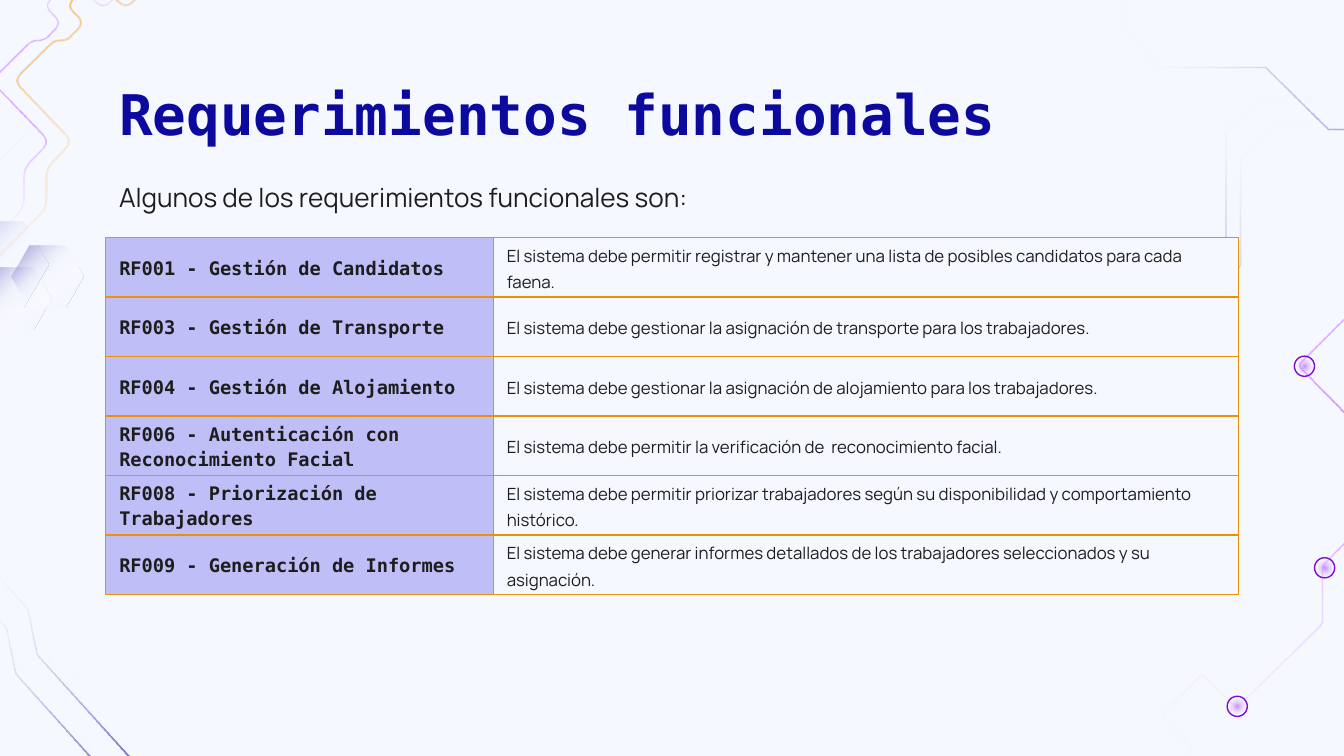
import math
from dataclasses import dataclass

import pptx
import pptx.dml.color
import pptx.enum.shapes
import pptx.enum.text
import pptx.oxml
import pptx.oxml.ns
import pptx.util
from lxml import etree

Pt = pptx.util.Pt
RGB = pptx.dml.color.RGBColor.from_string
MIDDLE = pptx.enum.text.MSO_ANCHOR.MIDDLE
TOP = pptx.enum.text.MSO_ANCHOR.TOP
OVAL = pptx.enum.shapes.MSO_SHAPE.OVAL
NS = 'xmlns:a="http://schemas.openxmlformats.org/drawingml/2006/main"'


@dataclass(frozen=True)
class Theme:
    paper: str = "F5F8FF"
    ink: str = "1D1D1D"
    navy: str = "0C0A9E"
    lilac: str = "BFBEF7"
    orange: str = "EB9109"
    ring: str = "8208D5"
    mono: str = "DejaVu Sans Mono"
    sans: str = "Manrope"
    title: int = 30
    lead: int = 14
    code: int = 10
    detail: int = 9
    trace: float = 0.95
    # Gradient stops: position, colour, opacity (all but colour in percent)
    navy_fade: tuple = ((0, "0C0A9E", 100), (100, "FFFFFF", 0))
    pale_fade: tuple = ((0, "0C0A9E", 36), (100, "FFFFFF", 0))
    violet_fade: tuple = ((0, "9900FF", 45), (100, "FFFFFF", 0))
    orange_fade: tuple = ((0, "EB9109", 100), (40, "FF9900", 40), (100, "FFFFFF", 0))
    prism_fade: tuple = ((0, "F5F8FF", 100), (22, "F5F8FF", 100),
                         (45, "FFFFFF", 0), (100, "0C0A9E", 49))


THEME = Theme()

REQUIREMENTS = [
    ("RF001 - Gestión de Candidatos",
     "El sistema debe permitir registrar y mantener una lista de posibles candidatos para cada faena."),
    ("RF003 - Gestión de Transporte",
     "El sistema debe gestionar la asignación de transporte para los trabajadores."),
    ("RF004 - Gestión de Alojamiento",
     "El sistema debe gestionar la asignación de alojamiento para los trabajadores."),
    ("RF006 - Autenticación con Reconocimiento Facial",
     "El sistema debe permitir la verificación de  reconocimiento facial."),
    ("RF008 - Priorización de Trabajadores",
     "El sistema debe permitir priorizar trabajadores según su disponibilidad y comportamiento histórico."),
    ("RF009 - Generación de Informes",
     "El sistema debe generar informes detallados de los trabajadores seleccionados y su asignación."),
]


# Geometry
def shift(points, dx, dy):
    return [(x + dx, y + dy) for x, y in points]


def rounded(points, radius):
    """Replace each inner corner by a short curve."""
    result = [points[0]]
    for before, corner, after in zip(points, points[1:], points[2:]):
        cut = min(radius, math.dist(before, corner) * 0.45, math.dist(corner, after) * 0.45)
        start, end = ([c + (p - c) * cut / math.dist(corner, side)
                       for c, p in zip(corner, side)] for side in (before, after))
        for t in (0, 0.25, 0.5, 0.75, 1):
            result.append(tuple((1 - t) ** 2 * s + 2 * t * (1 - t) * c + t * t * e
                                for s, c, e in zip(start, corner, end)))
    return result + [points[-1]]


def ribbon(points, width):
    """Outline of a thin band that follows the points."""
    normals = [((y1 - y2) / math.dist((x1, y1), (x2, y2)),
                (x2 - x1) / math.dist((x1, y1), (x2, y2)))
               for (x1, y1), (x2, y2) in zip(points, points[1:])]
    left, right = [], []
    for (x, y), (ax, ay), (bx, by) in zip(points, normals[:1] + normals, normals + normals[-1:]):
        reach = width / 2 / (1 + ax * bx + ay * by)
        dx, dy = (ax + bx) * reach, (ay + by) * reach
        left.append((x + dx, y + dy))
        right.append((x - dx, y - dy))
    return left + right[::-1]


# Drawing helpers
def fade(shape, stops, angle=None):
    """Fill with a linear gradient, or a radial one when no angle is given."""
    shape.shadow.inherit = False
    shape.fill.background()
    marks = "".join(f'<a:gs pos="{pos * 1000}"><a:srgbClr val="{colour}">'
                    f'<a:alpha val="{alpha * 1000}"/></a:srgbClr></a:gs>'
                    for pos, colour, alpha in stops)
    if angle is None:
        course = ('<a:path path="circle"><a:fillToRect l="50000" t="50000" '
                  'r="50000" b="50000"/></a:path>')
    else:
        course = f'<a:lin ang="{round(angle * 60000)}" scaled="0"/>'
    gradient = pptx.oxml.parse_xml(f"<a:gradFill {NS}><a:gsLst>{marks}</a:gsLst>{course}</a:gradFill>")
    properties = shape.element.spPr
    properties.replace(properties.find(pptx.oxml.ns.qn("a:noFill")), gradient)
    shape.line.fill.background()


def polygon(slide, points, stops, angle=None):
    start, *rest = [(x * 100, y * 100) for x, y in points]
    builder = slide.shapes.build_freeform(*start, scale=Pt(1) / 100)
    builder.add_line_segments(rest, close=True)
    fade(builder.convert_to_shape(), stops, angle)


def trace(slide, points, stops, angle=None):
    polygon(slide, ribbon(points, THEME.trace), stops, angle)


def write(frame, text, font, color, **format_values):
    paragraph = frame.paragraphs[0]
    run = paragraph.add_run()
    run.text = text
    for key, value in {"name": font, **format_values}.items():
        setattr(run.font, key, value)
    run.font.color.rgb = RGB(color)
    return paragraph


# Regions
def navy_circuits(slide, x, y):
    course = [(0.5, 223), (29.5, 194), (29.5, 117.5), (62.5, 84),
              (62.5, 28), (80.5, 10), (111, 10), (111, 0)]
    for dx, dy in ((7.9, 15.8), (0, 0)):
        trace(slide, shift(course, x + dx, y + dy), THEME.navy_fade, 270)
    turned = [(b, 56 - a) for a, b in course]
    trace(slide, shift(turned, x, y), THEME.navy_fade, 180)


def violet_circuit(slide, x, y):
    course = [(247.7, 0), (203, 45.4), (227, 70), (149, 148), (124, 124), (74, 174),
              (133, 234), (87, 281), (87, 312), (41, 357), (22.5, 339), (1, 361),
              (18, 380), (9, 390), (18, 399), (15, 402)]
    trace(slide, shift(rounded(course, 2), x, y), THEME.violet_fade)
    for cx, cy in ((41.4, 356.8), (88.2, 282.6), (77.4, 174.6)):
        ring, core = (slide.shapes.add_shape(OVAL, Pt(x + cx - size / 2), Pt(y + cy - size / 2),
                                             Pt(size), Pt(size)) for size in (10.8, 7.9))
        ring.shadow.inherit = False
        ring.fill.background()
        ring.line.color.rgb = RGB(THEME.ring)
        ring.line.width = Pt(0.75)
        fade(core, THEME.violet_fade)


def corner_circuits(slide, x, y):
    course = [(96.8, 152.6), (90.4, 118.8), (31.3, 53.3), (26.3, 28.8), (0.4, 0)]
    for dx, dy in ((11.5, 0), (0, 10.2)):
        trace(slide, shift(course, x + dx, y + dy), THEME.navy_fade, 227.8)


def left_ornament(slide, x, y):
    # Prisms
    for left, top, width, height in ((-27.4, 118.8, 53.3, 46.1), (-10.8, 143.3, 38.2, 33.1),
                                     (6.5, 131.8, 38.2, 33.1)):
        hexagon = [(0.25, 1), (0, 0.5), (0.25, 0), (0.75, 0), (1, 0.5), (0.75, 1)]
        corners = [(left + a * width, top + b * height) for a, b in hexagon]
        polygon(slide, shift(corners, x, y), THEME.prism_fade, 225)
    # Winding traces
    course = rounded([(41.4, -45), (79, -7.2), (67, 4.6), (50, -11), (35.5, 3), (45, 12),
                      (35.5, 21.6), (29, 21.6), (7.5, 43), (38.5, 75.6), (24.8, 90),
                      (24.8, 111), (0, 136.5)], 5)
    trace(slide, shift(course, x, y), THEME.orange_fade, 45)
    trace(slide, shift(course, x - 12.3, y), THEME.violet_fade)
    hook = [(14, 71), (-7.2, 92.2), (-7.2, 51), (-23.4, 51), (-23.4, 13.7)]
    trace(slide, shift(hook, x, y), THEME.pale_fade, 45)


def heading(slide, x, y, width):
    lines = [
        (0, 45.4, "Requerimientos funcionales", THEME.mono, THEME.navy, THEME.title, True),
        (54.7, 32.4, "Algunos de los requerimientos funcionales son:",
         THEME.sans, THEME.ink, THEME.lead, False),
    ]
    for dy, height, text, font, color, size, bold in lines:
        frame = slide.shapes.add_textbox(Pt(x), Pt(y + dy), Pt(width), Pt(height)).text_frame
        for key, value in {"word_wrap": True, "vertical_anchor": TOP, "margin_left": Pt(7.2),
                           "margin_right": Pt(7.2), "margin_top": Pt(7.2),
                           "margin_bottom": Pt(7.2)}.items():
            setattr(frame, key, value)
        write(frame, text, font, color, size=Pt(size), bold=bold)


def style_cell(cell, fill):
    for key, value in {"vertical_anchor": MIDDLE, "margin_left": Pt(7.2),
                       "margin_right": Pt(7.2), "margin_top": 0, "margin_bottom": 0}.items():
        setattr(cell, key, value)
    properties = cell._tc.get_or_add_tcPr()
    for side in "LRTB":
        properties.append(etree.fromstring(
            f'<a:ln{side} {NS} w="{Pt(0.75)}"><a:solidFill><a:srgbClr val="{THEME.orange}"/>'
            f'</a:solidFill></a:ln{side}>'))
    cell.fill.solid()
    cell.fill.fore_color.rgb = RGB(fill)


def requirements_table(slide, x, y, widths, row_height):
    count = len(REQUIREMENTS)
    table = slide.shapes.add_table(count, 2, Pt(x), Pt(y), Pt(sum(widths)),
                                   Pt(count * row_height)).table
    table.first_row = table.horz_banding = False
    for column, width in zip(table.columns, widths):
        column.width = Pt(width)
    styles = [(THEME.lilac, THEME.mono, THEME.code, True),
              (THEME.paper, THEME.sans, THEME.detail, False)]
    for row, texts in zip(table.rows, REQUIREMENTS):
        row.height = Pt(row_height)
        for cell, text, (fill, font, size, bold) in zip(row.cells, texts, styles):
            style_cell(cell, fill)
            paragraph = write(cell.text_frame, text, font, THEME.ink, size=Pt(size), bold=bold)
            paragraph.line_spacing = 1.15


def main():
    deck = pptx.Presentation()
    deck.slide_width, deck.slide_height = Pt(720), Pt(405)
    slide = deck.slides.add_slide(deck.slide_layouts[6])
    slide.background.fill.solid()
    slide.background.fill.fore_color.rgb = RGB(THEME.paper)
    # Ornaments behind the content
    navy_circuits(slide, 594, 42.5)
    violet_circuit(slide, 621.4, 21.6)
    corner_circuits(slide, -23, 297.4)
    left_ornament(slide, 0, 0)
    # Content
    heading(slide, 56.7, 35.3, 607)
    requirements_table(slide, 56.7, 127.2, (207.6, 399.2), 31.9)
    deck.save("out.pptx")


if __name__ == "__main__":
    main()
